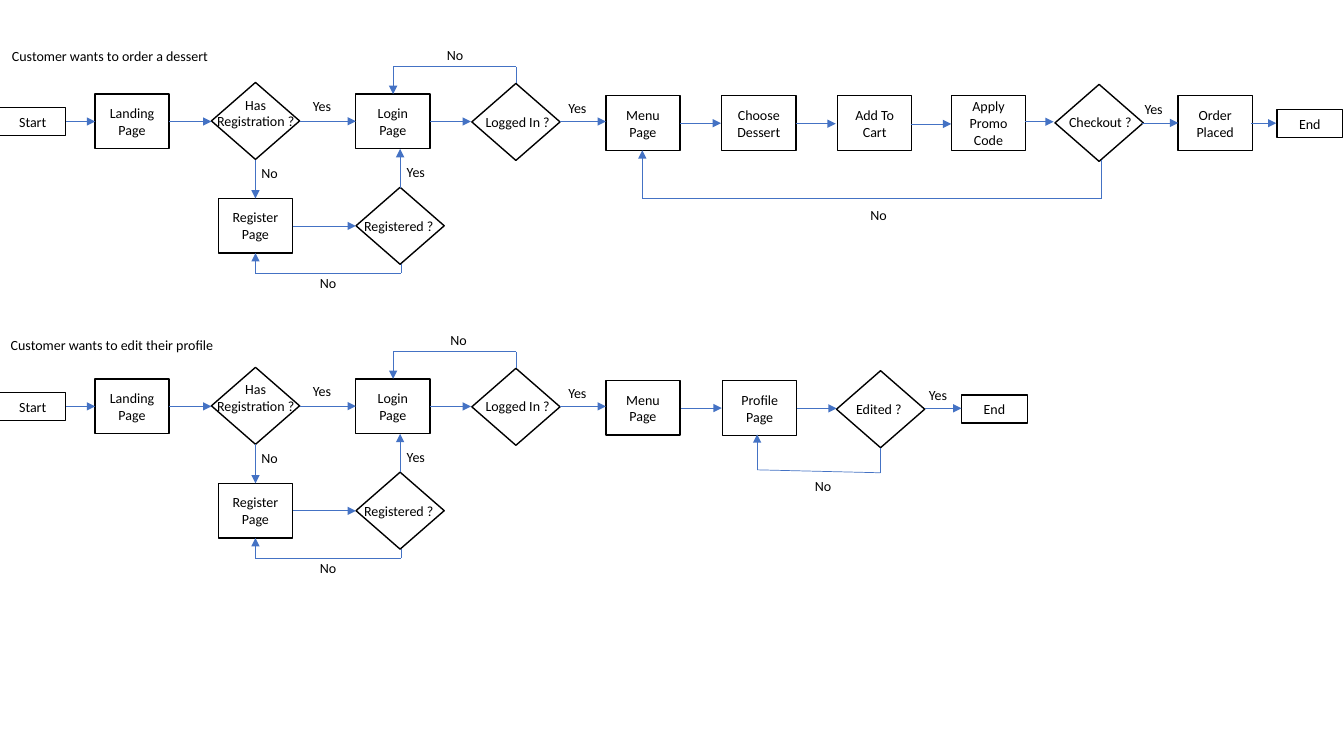
from itertools import pairwise
from lxml import etree
from pptx import Presentation
from pptx.dml.color import RGBColor
from pptx.enum import shapes, text
from pptx.oxml.ns import qn
from pptx.util import Pt

BLACK = RGBColor(0x00, 0x00, 0x00)
WHITE = RGBColor(0xFF, 0xFF, 0xFF)
BLUE = RGBColor(0x44, 0x72, 0xC4)

PAGE, TERMINAL, DECISION = (53, 39), (47, 20), (63, 55)

deck = Presentation()
deck.slide_width, deck.slide_height = Pt(960), Pt(540)
slide = deck.slides.add_slide(deck.slide_layouts[6])


def write(frame, wording):
    frame.text = wording
    frame.vertical_anchor = text.MSO_ANCHOR.MIDDLE
    for paragraph in frame.paragraphs:
        paragraph.alignment = text.PP_ALIGN.CENTER
        paragraph.font.name = "Calibri"
        paragraph.font.size = Pt(10)
        paragraph.font.color.rgb = BLACK


def add_step(kind, x, y, size):
    width, height = size
    step = slide.shapes.add_shape(
        kind, Pt(x - width / 2), Pt(y - height / 2), Pt(width), Pt(height))
    step.shadow.inherit = False
    step.fill.solid()
    step.fill.fore_color.rgb = WHITE
    step.line.color.rgb = BLACK
    step.line.width = Pt(1)
    return step


login_boxes = [
    ("Start", 23.4, 86.9, TERMINAL),
    ("Landing Page", 94.3, 86.7, PAGE),
    ("Login Page", 280.6, 86.7, PAGE),
    ("Register Page", 182.5, 161.3, PAGE),
    ("Menu Page", 459.3, 87.9, PAGE),
]
login_decisions = [(182.5, 86.4), (368.5, 87.1), (285.8, 161.3)]
login_labels = [
    ("Has\nRegistration ?", 182.6, 80.6),
    ("Logged In ?", 369.7, 86.8),
    ("Registered ?", 284.8, 161.6),
    ("Yes", 230, 76),
    ("Yes", 412.4, 77.4),
    ("Yes", 297, 122.8),
    ("No", 192.6, 123.5),
    ("No", 234.4, 202),
]
login_routes = [
    [(47, 86.8), (68, 86.8)],
    [(121, 86.8), (151, 86.8)],
    [(214, 86.6), (254.2, 86.6)],
    [(307.2, 86.8), (336.4, 86.8)],
    [(400, 86.8), (432.8, 86.8)],
    [(182.5, 114), (182.5, 141.8)],
    [(209, 161.4), (254.2, 161.4)],
    [(285.8, 134), (285.8, 106.4)],
    [(286.4, 188.8), (286.4, 195.2), (182.5, 195.2), (182.5, 180.8)],
    [(368.6, 59.6), (368.6, 47.6), (280.8, 47.6), (280.8, 67.2)],
]

journeys = [
    (0,
     [("Choose Dessert", 542, 87.9, PAGE),
      ("Add To Cart", 624.8, 87.9, PAGE),
      ("Apply Promo Code", 706.1, 87.9, PAGE),
      ("Order Placed", 868, 87.9, PAGE),
      ("End", 935.6, 88.4, TERMINAL)],
     [(785.1, 87.8)],
     [("Customer wants to order a dessert", 78.5, 40),
      ("Checkout ?", 785.9, 86.8),
      ("Yes", 824, 78.1),
      ("No", 325.1, 39.2),
      ("No", 627.5, 153.7)],
     [[(486, 88), (515, 88)],
      [(568.3, 88.4), (597, 88.4)],
      [(650.5, 88.5), (679.5, 88.5)],
      [(732.4, 87), (752.6, 87)],
      [(816, 87.8), (841.6, 87.8)],
      [(893.8, 88), (911.7, 88)],
      [(786.4, 114.6), (786.4, 141.8), (458.8, 141.8), (458.8, 107.4)]]),
    (203.5,
     [("Profile Page", 542.7, 88, PAGE),
      ("End", 710.3, 88.8, TERMINAL)],
     [(629, 88.8)],
     [("Customer wants to edit their profile", 79.9, 43.1),
      ("Edited ?", 627.8, 88.5),
      ("Yes", 670, 78.4),
      ("No", 327.6, 39.6),
      ("No", 587.9, 143.9)],
     [[(486.6, 88), (515.6, 88)],
      [(569, 88.2), (597.6, 88.2)],
      [(661, 88.2), (686.8, 88.2)],
      [(628.8, 116.2), (628.8, 134.2), (540.8, 132.1), (540.8, 106.8)]]),
]

for top, boxes, decisions, labels, routes in journeys:
    for wording, x, y, size in login_boxes + boxes:
        box = add_step(shapes.MSO_SHAPE.RECTANGLE, x, top + y, size)
        write(box.text_frame, wording)

    for x, y in login_decisions + decisions:
        add_step(shapes.MSO_SHAPE.DIAMOND, x, top + y, DECISION)

    for wording, x, y in login_labels + labels:
        lines = wording.split("\n")
        width = 19 + 4.3 * max(len(line) for line in lines)
        height = 7.2 + 12.2 * len(lines)
        label = slide.shapes.add_textbox(
            Pt(x - width / 2), Pt(top + y - height / 2), Pt(width), Pt(height))
        label.text_frame.word_wrap = False
        label.text_frame.auto_size = text.MSO_AUTO_SIZE.SHAPE_TO_FIT_TEXT
        write(label.text_frame, wording)

    for route in login_routes + routes:
        for (x1, y1), (x2, y2) in pairwise(route):
            leg = slide.shapes.add_connector(
                shapes.MSO_CONNECTOR.STRAIGHT,
                Pt(x1), Pt(top + y1), Pt(x2), Pt(top + y2))
            leg.line.color.rgb = BLUE
            leg.line.width = Pt(0.5)
            etree.SubElement(leg.element.spPr, qn("a:effectLst"))
        outline = leg.element.spPr.find(qn("a:ln"))
        etree.SubElement(outline, qn("a:tailEnd"), type="triangle")

deck.save("out.pptx")
